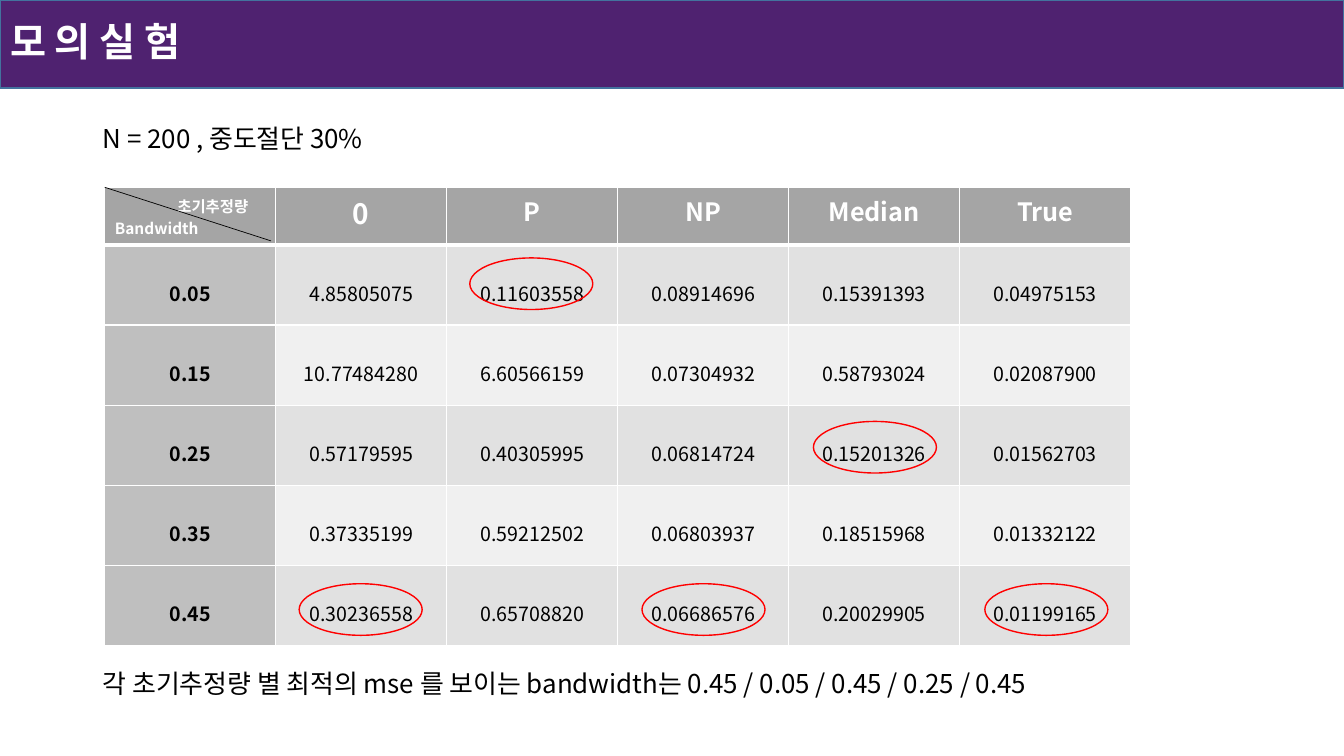
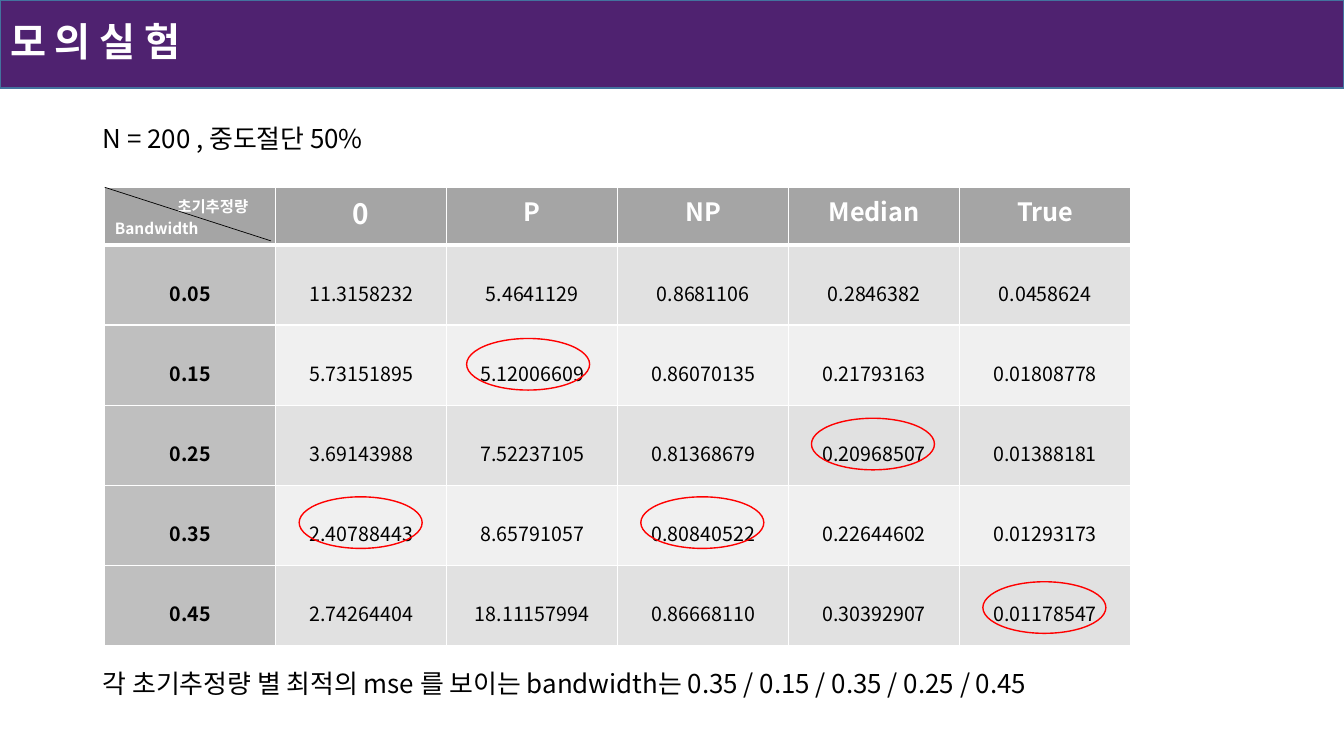
from dataclasses import dataclass

from lxml import etree
from pptx import Presentation
from pptx import util as u
from pptx.dml.color import RGBColor
from pptx.enum import shapes, text
from pptx.oxml import ns

Cm, Pt = u.Cm, u.Pt
FONT = "Noto Sans CJK KR"
HEX = {
    "band": "4F2270", "edge": "43739E", "white": "FFFFFF", "black": "000000",
    "red": "FF0000", "head": "A5A5A5", "side": "BFBFBF",
    "odd": "E1E1E1", "even": "F0F0F0",
}
WIDE, HIGH = 33.87, 19.05
LEFT, TOP = 2.64, 4.72
COL, HEAD, ROW = 4.31, 1.45, 2.02
HEADS = ("0", "P", "NP", "Median", "True")
BANDS = ("0.05", "0.15", "0.25", "0.35", "0.45")
ALIGN = text.PP_ALIGN


@dataclass
class Mark:
    """Corner of a red ring, in cm."""
    left: float
    top: float


@dataclass
class Trial:
    """One simulation: censoring rate, errors, best bandwidths and rings."""
    rate: str
    rows: list[str]
    best: str
    marks: list[Mark]


TRIALS = [
    Trial(
        "30%",
        ["4.85805075 0.11603558 0.08914696 0.15391393 0.04975153",
         "10.77484280 6.60566159 0.07304932 0.58793024 0.02087900",
         "0.57179595 0.40305995 0.06814724 0.15201326 0.01562703",
         "0.37335199 0.59212502 0.06803937 0.18515968 0.01332122",
         "0.30236558 0.65708820 0.06686576 0.20029905 0.01199165"],
        "0.45 / 0.05 / 0.45 / 0.25 / 0.45",
        [Mark(7.54, 14.71), Mark(11.84, 6.5), Mark(16.18, 14.71),
         Mark(20.5, 10.62), Mark(24.82, 14.71)],
    ),
    Trial(
        "50%",
        ["11.3158232 5.4641129 0.8681106 0.2846382 0.0458624",
         "5.73151895 5.12006609 0.86070135 0.21793163 0.01808778",
         "3.69143988 7.52237105 0.81368679 0.20968507 0.01388181",
         "2.40788443 8.65791057 0.80840522 0.22644602 0.01293173",
         "2.74264404 18.11157994 0.86668110 0.30392907 0.01178547"],
        "0.35 / 0.15 / 0.35 / 0.25 / 0.45",
        [Mark(7.54, 12.52), Mark(11.76, 8.53), Mark(16.15, 12.52),
         Mark(20.45, 10.54), Mark(24.77, 14.66)],
    ),
]


def rgb(name: str) -> RGBColor:
    """Look up a named colour."""
    return RGBColor.from_string(HEX[name])


def write(para, words: str, *, size: float, color: str = "black",
          bold: bool = False, align=ALIGN.LEFT, line=None, before=None) -> None:
    """Put one formatted run into a paragraph."""
    run = para.add_run()
    run.text = words
    font = run.font
    font.name, font.size, font.bold = FONT, Pt(size), bold
    font.color.rgb = rgb(color)
    east = etree.SubElement(run._r.get_or_add_rPr(), ns.qn("a:ea"))
    east.set("typeface", FONT)
    para.alignment = align
    if line is not None:
        para.line_spacing = line
    if before is not None:
        para.space_before = Pt(before)


def band(slide) -> None:
    """Draw the purple band behind the slide title."""
    bar = slide.shapes.add_shape(
        shapes.MSO_SHAPE.RECTANGLE, 0, 0, Cm(WIDE), Cm(2.22))
    bar.shadow.inherit = False
    bar.fill.solid()
    bar.fill.fore_color.rgb = rgb("band")
    bar.line.color.rgb = rgb("edge")
    bar.line.width = Pt(1)
    slide.shapes._spTree.insert(2, bar._element)


def head(slide) -> None:
    """Place and fill the title."""
    title = slide.shapes.title
    title.left, title.top = Cm(0), Cm(0)
    title.width, title.height = Cm(WIDE), Cm(2.23)
    frame = title.text_frame
    frame.auto_size = text.MSO_AUTO_SIZE.NONE
    frame.vertical_anchor = text.MSO_ANCHOR.MIDDLE
    write(frame.paragraphs[0], "모 의 실 험", size=28, color="white",
          bold=True, line=0.9)


def note(slide, words: str, top: float) -> None:
    """Add a line of body text at the given height."""
    box = slide.shapes.add_textbox(Cm(2.34), Cm(top), Cm(29.21), Cm(1.2))
    frame = box.text_frame
    frame.word_wrap = True
    write(frame.paragraphs[0], words, size=18.5, line=0.8, before=10)


def rule(cell, row: int) -> None:
    """Give a cell white borders, thick under the header row."""
    props = cell._tc.get_or_add_tcPr()
    thick = {"T": row == 1, "B": row == 0}
    for i, side in enumerate("LRTB"):
        width = Pt(3 if thick.get(side) else 1)
        edge = etree.Element(ns.qn(f"a:ln{side}"), w=str(int(width)))
        fill = etree.SubElement(edge, ns.qn("a:solidFill"))
        etree.SubElement(fill, ns.qn("a:srgbClr"), val=HEX["white"])
        props.insert(i, edge)


def tint(row: int, col: int) -> str:
    """Name the fill of a cell."""
    if row == 0:
        return "head"
    if col == 0:
        return "side"
    return "odd" if row % 2 else "even"


def corner(cell) -> None:
    """Label both axes in the top left cell."""
    cell.margin_top, cell.margin_right = Cm(0.18), Cm(0.69)
    frame = cell.text_frame
    form = {"size": 11, "color": "white", "bold": True}
    write(frame.paragraphs[0], "초기추정량", align=ALIGN.RIGHT, **form)
    write(frame.add_paragraph(), "Bandwidth", **form)


def grid(slide, trial: Trial) -> None:
    """Build the table of errors."""
    data = [["", *HEADS]]
    data += [[b, *r.split()] for b, r in zip(BANDS, trial.rows)]
    wide, high = len(data[0]), len(data)
    table = slide.shapes.add_table(
        high, wide, Cm(LEFT), Cm(TOP),
        Cm(COL * wide), Cm(HEAD + ROW * (high - 1))).table
    table.first_row = table.horz_banding = False
    for col in table.columns:
        col.width = Cm(COL)
    for r, vals in enumerate(data):
        table.rows[r].height = Cm(ROW if r else HEAD)
        for c, val in enumerate(vals):
            cell = table.cell(r, c)
            cell.fill.solid()
            cell.fill.fore_color.rgb = rgb(tint(r, c))
            rule(cell, r)
            para = cell.text_frame.paragraphs[0]
            if r:
                cell.margin_top = Cm(0.84)
                write(para, val, size=14, bold=c == 0, align=ALIGN.CENTER)
            elif c:
                write(para, val, size=20 if c == 1 else 18, color="white",
                      bold=True, align=ALIGN.CENTER)
            else:
                corner(cell)


def slash(slide) -> None:
    """Split the corner cell with a diagonal."""
    link = slide.shapes.add_connector(
        shapes.MSO_CONNECTOR.STRAIGHT,
        Cm(LEFT), Cm(TOP), Cm(LEFT + 4.19), Cm(TOP + 1.35))
    link.line.color.rgb = rgb("black")
    link.line.width = Pt(0.5)
    etree.SubElement(link._element.spPr, ns.qn("a:effectLst"))


def ring(slide, mark: Mark) -> None:
    """Circle a best value in red."""
    oval = slide.shapes.add_shape(
        shapes.MSO_SHAPE.OVAL, Cm(mark.left), Cm(mark.top), Cm(3.1), Cm(1.3))
    oval.shadow.inherit = False
    oval.fill.background()
    oval.line.color.rgb = rgb("red")
    oval.line.width = Pt(1)


def build(deck, trial: Trial) -> None:
    """Add the slide of one simulation."""
    slide = deck.slides.add_slide(deck.slide_layouts[5])
    band(slide)
    head(slide)
    note(slide, f"N = 200 , 중도절단 {trial.rate}", 3.12)
    note(slide, f"각 초기추정량 별 최적의 mse 를 보이는 bandwidth는 {trial.best}",
         16.84)
    grid(slide, trial)
    slash(slide)
    for mark in trial.marks:
        ring(slide, mark)


def main() -> None:
    """Build and save the deck."""
    deck = Presentation()
    deck.slide_width, deck.slide_height = Cm(WIDE), Cm(HIGH)
    for trial in TRIALS:
        build(deck, trial)
    deck.save("out.pptx")


main()
